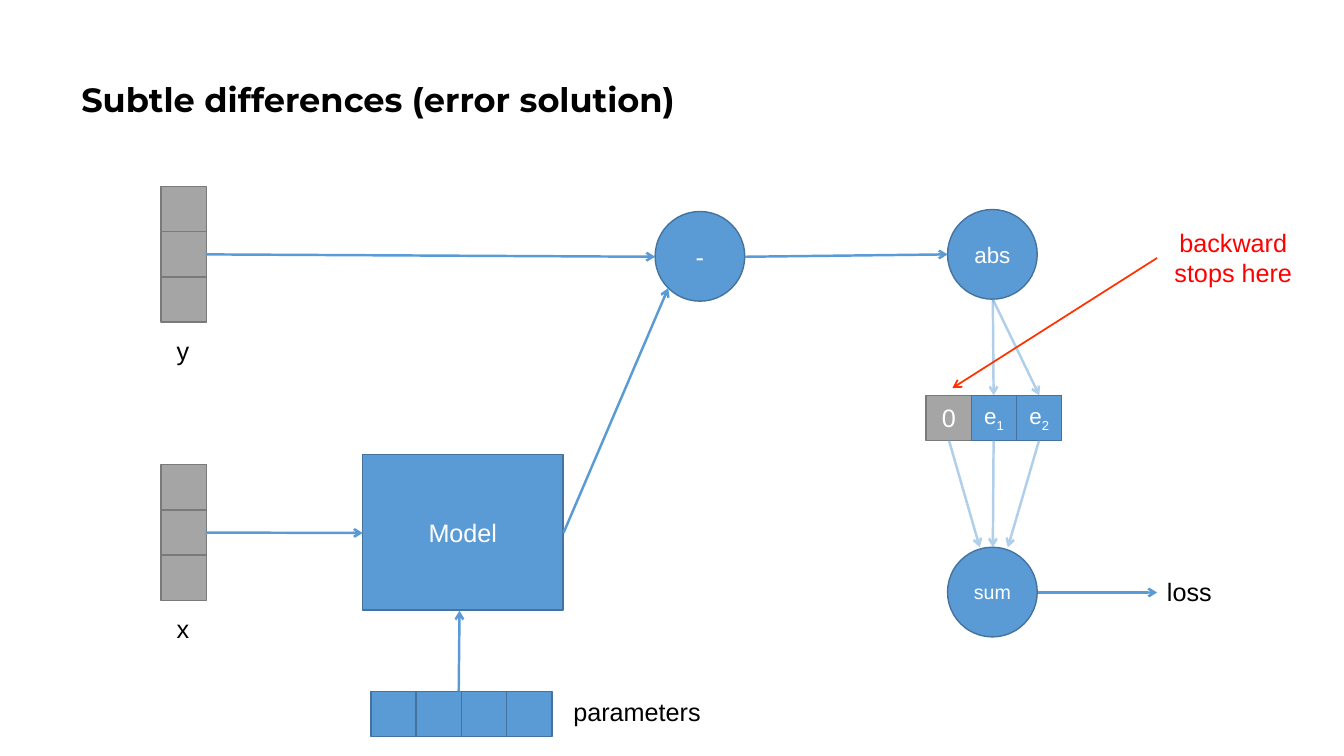
import pptx
import pptx.util
import pptx.dml.color
import pptx.enum.shapes
import pptx.enum.text
import pptx.oxml.ns
import lxml.etree

Cm, Pt = pptx.util.Cm, pptx.util.Pt
RGBColor = pptx.dml.color.RGBColor
SHAPE = pptx.enum.shapes.MSO_SHAPE
ALIGN = pptx.enum.text.PP_ALIGN
ANCHOR = pptx.enum.text.MSO_ANCHOR
qn = pptx.oxml.ns.qn

BLUE = RGBColor(0x5B, 0x9B, 0xD5)
BLUE_EDGE = RGBColor(0x43, 0x73, 0x9E)
GRAY = RGBColor(0xA5, 0xA5, 0xA5)
GRAY_EDGE = RGBColor(0x7A, 0x7A, 0x7A)
BLACK = RGBColor(0, 0, 0)
WHITE = RGBColor(0xFF, 0xFF, 0xFF)
RED = RGBColor(0xFF, 0, 0)
ORANGE_RED = RGBColor(0xFF, 0x33, 0)

CELL = 1.14
CIRCLE = 2.26

prs = pptx.Presentation()
prs.slide_width, prs.slide_height = Cm(33.87), Cm(19.05)
s = prs.slides.add_slide(prs.slide_layouts[6])


def write(sp, text, size=18, color=BLACK, font="Arial", bold=False, sub="",
          align=ALIGN.CENTER, anchor=ANCHOR.MIDDLE, wrap=True, spacing=None):
    tf = sp.text_frame
    tf.word_wrap = wrap
    tf.vertical_anchor = anchor
    for i, line in enumerate(text.split("\n")):
        p = tf.add_paragraph() if i else tf.paragraphs[0]
        p.alignment = align
        p.line_spacing = spacing
        for part in filter(None, (line, sub)):
            r = p.add_run()
            r.text = part
            r.font.name, r.font.size, r.font.bold = font, Pt(size), bold
            r.font.color.rgb = color
    if sub:
        r.font._element.set("baseline", "-25000")


def add_node(kind, x, y, w, h, fill=BLUE, edge=BLUE_EDGE):
    sp = s.shapes.add_shape(kind, Cm(x), Cm(y), Cm(w), Cm(h))
    sp.shadow.inherit = False
    sp.fill.solid()
    sp.fill.fore_color.rgb = fill
    sp.line.color.rgb = edge
    sp.line.width = Pt(1)
    return sp


title = s.shapes.add_textbox(Cm(1.8), Cm(0.71), Cm(29.21), Cm(3.68))
write(title, "Subtle differences (error solution)", size=24, font="Montserrat",
      bold=True, align=ALIGN.LEFT, spacing=0.9)

for top in (11.71, 4.7):
    for i in range(3):
        add_node(SHAPE.RECTANGLE, 4.06, top + i * CELL, CELL, CELL, GRAY, GRAY_EDGE)

for i in range(4):
    add_node(SHAPE.RECTANGLE, 9.35 + i * CELL, 17.42, CELL, CELL)

model = add_node(SHAPE.RECTANGLE, 9.14, 11.46, 5.05, 3.91)
write(model, "Model", color=WHITE)

for text, x, y, size in (("-", 16.51, 5.33, 18), ("abs", 23.88, 5.28, 16),
                         ("sum", 23.88, 13.79, 14)):
    sp = add_node(SHAPE.OVAL, x, y, CIRCLE, CIRCLE)
    write(sp, text, size=size, color=WHITE)

errors = (("0", "", 18, GRAY, GRAY_EDGE), ("e", "1", 16, BLUE, BLUE_EDGE),
          ("e", "2", 16, BLUE, BLUE_EDGE))
for i, (text, sub, size, fill, edge) in enumerate(errors):
    sp = add_node(SHAPE.RECTANGLE, 23.34 + i * CELL, 9.96, CELL, CELL, fill, edge)
    write(sp, text, sub=sub, size=size, color=WHITE)

labels = (
    ("x", 3.02, 15.34, 3.18, 1.02, BLACK, ALIGN.CENTER, True),
    ("y", 3.02, 8.33, 3.18, 1.02, BLACK, ALIGN.CENTER, True),
    ("parameters", 14.2, 17.42, 4.19, 1.02, BLACK, ALIGN.LEFT, False),
    ("loss", 29.16, 14.4, 1.73, 1.02, BLACK, ALIGN.LEFT, False),
    ("backward\nstops here", 29.16, 5.61, 3.84, 1.8, RED, ALIGN.CENTER, False),
)
for text, x, y, w, h, color, align, wrap in labels:
    sp = s.shapes.add_textbox(Cm(x), Cm(y), Cm(w), Cm(h))
    write(sp, text, color=color, align=align, anchor=ANCHOR.TOP, wrap=wrap)

arrows = (
    (5.18, 13.42, 9.14, 13.43, BLUE, 1.75, 100),
    (11.56, 17.42, 11.58, 15.39, BLUE, 1.75, 100),
    (14.2, 13.43, 16.84, 7.26, BLUE, 1.75, 100),
    (5.18, 6.41, 16.51, 6.47, BLUE, 1.75, 100),
    (18.77, 6.47, 23.88, 6.41, BLUE, 1.75, 100),
    (25.02, 7.54, 25.04, 9.96, BLUE, 1.75, 48),
    (25.02, 7.54, 26.19, 9.96, BLUE, 1.75, 48),
    (23.91, 11.08, 24.69, 13.79, BLUE, 1.75, 48),
    (25.04, 11.08, 25.02, 13.79, BLUE, 1.75, 48),
    (26.19, 11.08, 25.4, 13.79, BLUE, 1.75, 48),
    (26.15, 14.93, 29.16, 14.93, BLUE, 1.75, 100),
    (29.16, 6.5, 24, 9.78, ORANGE_RED, 1.25, 100),
)
for x1, y1, x2, y2, color, width, opacity in arrows:
    arrow = s.shapes.add_connector(pptx.enum.shapes.MSO_CONNECTOR.STRAIGHT,
                                   Cm(x1), Cm(y1), Cm(x2), Cm(y2))
    arrow.line.color.rgb = color
    arrow.line.width = Pt(width)
    spPr = arrow._element.spPr
    ln = spPr.find(qn("a:ln"))
    lxml.etree.SubElement(ln, qn("a:tailEnd"), type="arrow")
    lxml.etree.SubElement(spPr, qn("a:effectLst"))
    if opacity < 100:
        rgb = ln.find(".//" + qn("a:srgbClr"))
        lxml.etree.SubElement(rgb, qn("a:alpha"), val=str(opacity * 1000))

prs.save("out.pptx")
